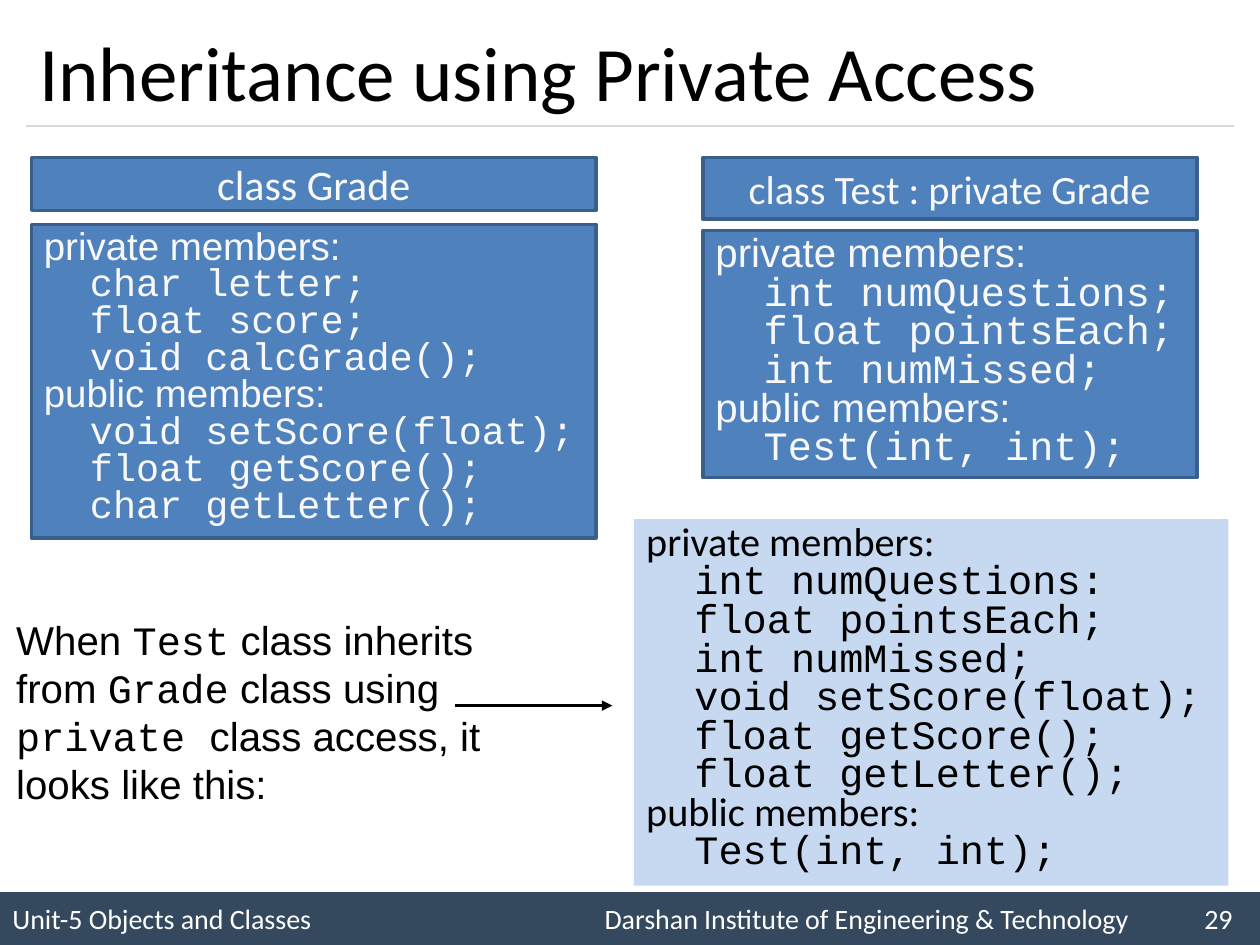
"""Build the slide on private inheritance between the Grade and Test classes."""
import pptx
import pptx.dml.color
import pptx.enum.shapes
import pptx.enum.text
import pptx.oxml
import pptx.oxml.ns
import pptx.util

COLORS = {
    "bar": "34495E", "white": "FFFFFF", "rule": "D9D9D9", "black": "000000",
    "box": "4F81BD", "edge": "3A5F8C", "light": "F8F8F8", "result": "C6D9F1",
}
RGB = {name: pptx.dml.color.RGBColor.from_string(value) for name, value in COLORS.items()}
SHAPES = pptx.enum.shapes.MSO_SHAPE
ANCHOR = pptx.enum.text.MSO_ANCHOR
ALIGN = pptx.enum.text.PP_ALIGN
FIT = pptx.enum.text.MSO_AUTO_SIZE
CODE_FONT = "Courier New"

deck = pptx.Presentation()
deck.slide_width, deck.slide_height = pptx.util.Inches(10), pptx.util.Inches(7.5)
COLUMN, ROW = deck.slide_width / 100, deck.slide_height / 75
slide = deck.slides.add_slide(deck.slide_layouts[5])


def add_box(left, top, width, height, fill, edge=None):
    box = slide.shapes.add_shape(SHAPES.RECTANGLE, round(left * COLUMN), round(top * ROW),
                                 round(width * COLUMN), round(height * ROW))
    box.shadow.inherit = False
    box.fill.solid()
    box.fill.fore_color.rgb = RGB[fill]
    if edge:
        box.line.color.rgb = RGB[edge]
        box.line.width = pptx.util.Pt(2)
    else:
        box.line.fill.background()
    return box


def style(run, font, size, color):
    run.font.name = font
    run.font.size = pptx.util.Pt(size)
    run.font.color.rgb = RGB[color]


footer = add_box(0, 70.8, 100, 4.2, "bar").text_frame
footer.vertical_anchor = ANCHOR.MIDDLE
footer.text = "Unit-5 Objects and Classes\tDarshan Institute of Engineering & Technology\t29"
footer_line = footer.paragraphs[0]
footer_line.alignment = ALIGN.LEFT
tab_stops = pptx.oxml.parse_xml(f"<a:tabLst {pptx.oxml.ns.nsdecls('a')}/>")
for column in (47, 94.6):
    stop = pptx.oxml.parse_xml(f"<a:tab {pptx.oxml.ns.nsdecls('a')} algn='l'/>")
    stop.set("pos", str(round(column * COLUMN)))
    tab_stops.append(stop)
footer_line._p.get_or_add_pPr().append(tab_stops)
for run in footer_line.runs:
    style(run, "Calibri", 16, "white")

title = slide.shapes.title
title.left, title.top = round(2.1 * COLUMN), round(1.2 * ROW)
title.width, title.height = round(95.8 * COLUMN), round(8.8 * ROW)
title.text_frame.text = "Inheritance using Private Access"
title.text_frame.vertical_anchor = ANCHOR.MIDDLE
title.text_frame.paragraphs[0].alignment = ALIGN.LEFT
style(title.text_frame.paragraphs[0].runs[0], "Calibri", 44, "black")

headings = [
    ("class Grade", 2.5, 44.8, 4.2, 24),
    ("class Test : private Grade", 55.8, 39.2, 4.9, 23),
]
for text, left, width, height, size in headings:
    heading = add_box(left, 12.5, width, height, "box", "edge").text_frame
    heading.text = text
    heading.vertical_anchor = ANCHOR.MIDDLE
    heading.paragraphs[0].alignment = ALIGN.CENTER
    style(heading.paragraphs[0].runs[0], "Calibri", size, "light")

member_lists = [
    ((2.5, 17.8, 44.8, 24.9, "box", "edge"), "Arial", 22, "light", [
        "private members:", "  char letter;", "  float score;", "  void calcGrade();",
        "public members:", "  void setScore(float);", "  float getScore();",
        "  char getLetter();"]),
    ((55.8, 18.3, 39.2, 19.6, "box", "edge"), "Arial", 23, "light", [
        "private members:", "  int numQuestions;", "  float pointsEach;",
        "  int numMissed;", "public members:", "  Test(int, int);"]),
    ((50.3, 41.2, 47.2, 29.1, "result"), "Calibri", 23, "black", [
        "private members:", "  int numQuestions:", "  float pointsEach;",
        "  int numMissed;", "  void setScore(float);", "  float getScore();",
        "  float getLetter();", "public members:", "  Test(int, int);"]),
]
for place, label_font, size, color, lines in member_lists:
    members = add_box(*place).text_frame
    members.text = "\n".join(lines)
    members.word_wrap = True
    members.auto_size = FIT.SHAPE_TO_FIT_TEXT
    members.vertical_anchor = ANCHOR.TOP
    for line in members.paragraphs:
        line.alignment = ALIGN.LEFT
        line.line_spacing = 0.8
        font = CODE_FONT if line.text.startswith(" ") else label_font
        style(line.runs[0], font, size, color)

explanation = slide.shapes.add_textbox(round(0.3 * COLUMN), round(48.3 * ROW),
                                       round(42.5 * COLUMN), round(16.5 * ROW)).text_frame
explanation.word_wrap = True
explanation.auto_size = FIT.SHAPE_TO_FIT_TEXT
sentence = [
    [("When ", "Arial"), ("Test", CODE_FONT), (" class inherits", "Arial")],
    [("from ", "Arial"), ("Grade", CODE_FONT), (" class using", "Arial")],
    [("private ", CODE_FONT), ("class access, it looks like this:", "Arial")],
]
for index, pieces in enumerate(sentence):
    line = explanation.add_paragraph() if index else explanation.paragraphs[0]
    for text, font in pieces:
        run = line.add_run()
        run.text = text
        style(run, font, 23, "black")

for start, end, row, color, weight in [(2.1, 97.9, 10, "rule", 0.75),
                                       (36.1, 48.6, 56, "black", 2)]:
    connector = slide.shapes.add_connector(
        pptx.enum.shapes.MSO_CONNECTOR.STRAIGHT, round(start * COLUMN), round(row * ROW),
        round(end * COLUMN), round(row * ROW))
    connector.line.color.rgb = RGB[color]
    connector.line.width = pptx.util.Pt(weight)
    properties = connector._element.spPr
    properties.append(pptx.oxml.parse_xml(f"<a:effectLst {pptx.oxml.ns.nsdecls('a')}/>"))
    if color == "black":
        connector.line._get_or_add_ln().append(pptx.oxml.parse_xml(
            f"<a:tailEnd {pptx.oxml.ns.nsdecls('a')} type='triangle'/>"))

deck.save("out.pptx")
